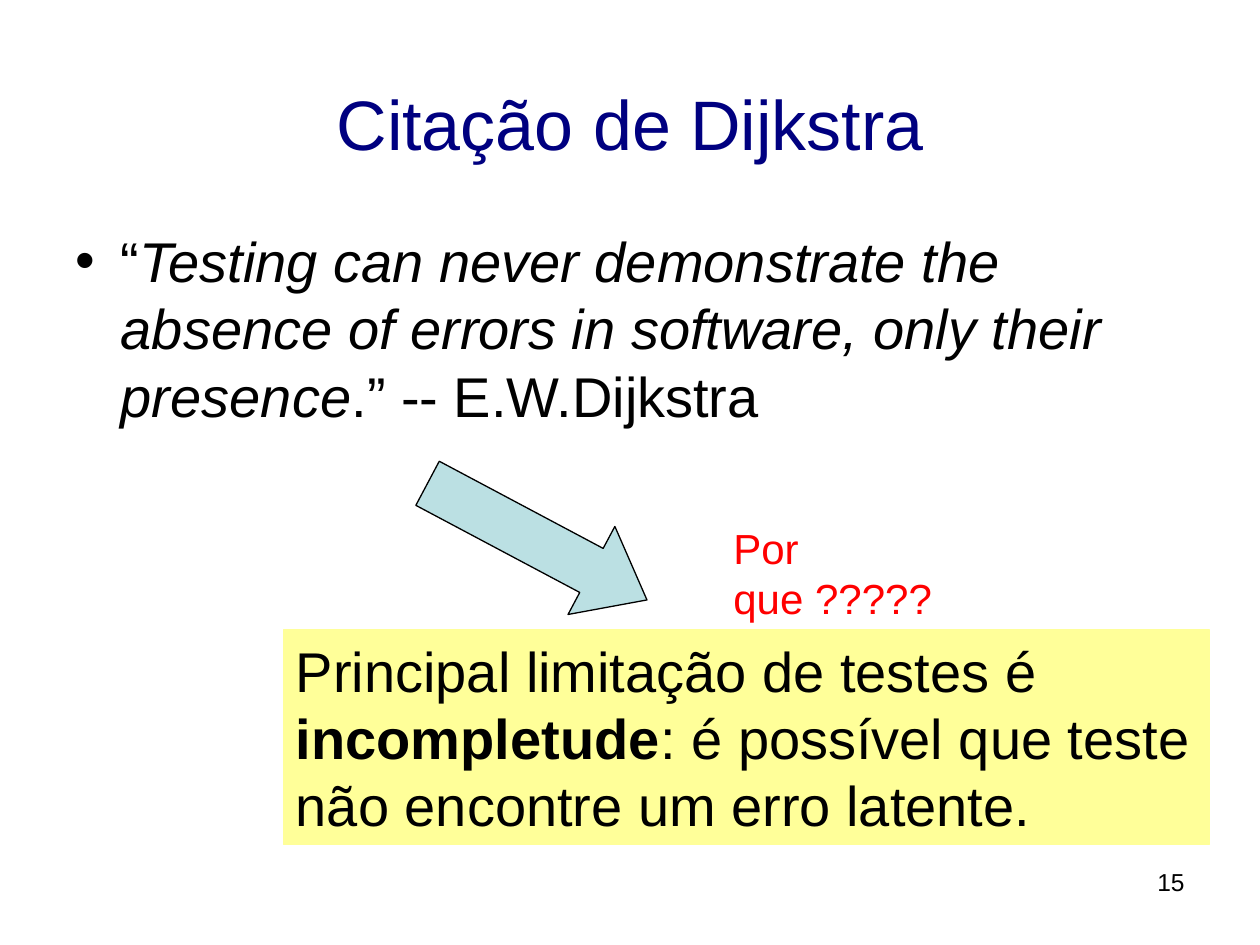
from lxml import etree
from pptx import Presentation
from pptx import util as u
from pptx.dml.color import RGBColor
from pptx.enum import shapes, text
from pptx.oxml import ns

Pt = u.Pt
FONT = "Arial"
COLORS = {
    "title": "000080",
    "body": "000000",
    "question": "FF0000",
    "note": "FFFF99",
    "arrow": "BBE0E3",
    "outline": "000000",
}


def color(name):
    return RGBColor.from_string(COLORS[name])


def place(s, box):
    s.left, s.top, s.width, s.height = (Pt(v) for v in box)


def paint(s, fill, line):
    s.shadow.inherit = False
    s.fill.solid()
    s.fill.fore_color.rgb = color(fill)
    s.line.color.rgb = color(line)
    s.line.width = Pt(0.75)


def write(s, runs, size, ink="body", align=text.PP_ALIGN.LEFT,
          anchor=text.MSO_ANCHOR.TOP, wrap=True, fit=text.MSO_AUTO_SIZE.NONE):
    """Fill one paragraph with (wording, style) runs; style is "", "b" or "i"."""
    tf = s.text_frame
    tf.word_wrap = wrap
    tf.auto_size = fit
    tf.vertical_anchor = anchor
    tf.margin_left = tf.margin_right = Pt(7.2)
    tf.margin_top = tf.margin_bottom = Pt(3.6)
    p = tf.paragraphs[0]
    p.alignment = align
    p.space_before = Pt(0)
    for wording, style in runs:
        r = p.add_run()
        r.text = wording
        r.font.name = FONT
        r.font.size = Pt(size)
        r.font.bold = style == "b"
        r.font.italic = style == "i"
        r.font.color.rgb = color(ink)
    return p


def add_bullet(p, indent):
    pPr = p._p.get_or_add_pPr()
    pPr.set("marL", str(Pt(indent)))
    pPr.set("indent", str(-Pt(indent)))
    etree.SubElement(pPr, ns.qn("a:buFont")).set("typeface", FONT)
    etree.SubElement(pPr, ns.qn("a:buChar")).set("char", "•")


def add_title(slide, box):
    s = slide.shapes.title
    place(s, box)
    write(s, [("Citação de Dijkstra", "")], 40, "title",
          text.PP_ALIGN.CENTER, text.MSO_ANCHOR.MIDDLE)


def add_quote(slide, box):
    s = slide.shapes.add_textbox(*(Pt(v) for v in box))
    p = write(s, [
        ("“", ""),
        ("Testing can never demonstrate the absence of errors in software, "
         "only their presence", "i"),
        (".” -- E.W.Dijkstra", ""),
    ], 32)
    add_bullet(p, 26)


def add_note(slide, box):
    s = slide.shapes.add_shape(shapes.MSO_SHAPE.RECTANGLE, *(Pt(v) for v in box))
    paint(s, "note", "note")
    write(s, [
        ("Principal limitação de testes é ", ""),
        ("incompletude", "b"),
        (": é possível que teste não encontre um erro latente.", ""),
    ], 32, fit=text.MSO_AUTO_SIZE.SHAPE_TO_FIT_TEXT)


def add_arrow(slide, box):
    s = slide.shapes.add_shape(shapes.MSO_SHAPE.RIGHT_ARROW, *(Pt(v) for v in box))
    paint(s, "arrow", "outline")
    s.adjustments[0] = 0.5
    s.adjustments[1] = 0.63
    s.rotation = 28


def add_question(slide, box):
    s = slide.shapes.add_textbox(*(Pt(v) for v in box))
    write(s, [("Por que ?????", "")], 24, "question", wrap=False,
          fit=text.MSO_AUTO_SIZE.SHAPE_TO_FIT_TEXT)


def add_page_number(slide, box):
    s = slide.shapes.add_textbox(*(Pt(v) for v in box))
    write(s, [("15", "")], 14, align=text.PP_ALIGN.RIGHT)


def main():
    prs = Presentation()
    prs.slide_width, prs.slide_height = Pt(720), Pt(540)
    slide = prs.slides.add_slide(prs.slide_layouts.get_by_name("Title Only"))

    # Heading and quotation
    add_title(slide, (36, 18, 648, 103.5))
    add_quote(slide, (36, 126, 648, 169))

    # Conclusion drawn from the quotation
    add_note(slide, (162, 360, 529, 122.5))
    add_arrow(slide, (236, 281, 142, 57))
    add_question(slide, (412, 295, 171, 36))

    # Footer
    add_page_number(slide, (516, 492, 168, 37.5))

    prs.save("out.pptx")


if __name__ == "__main__":
    main()
